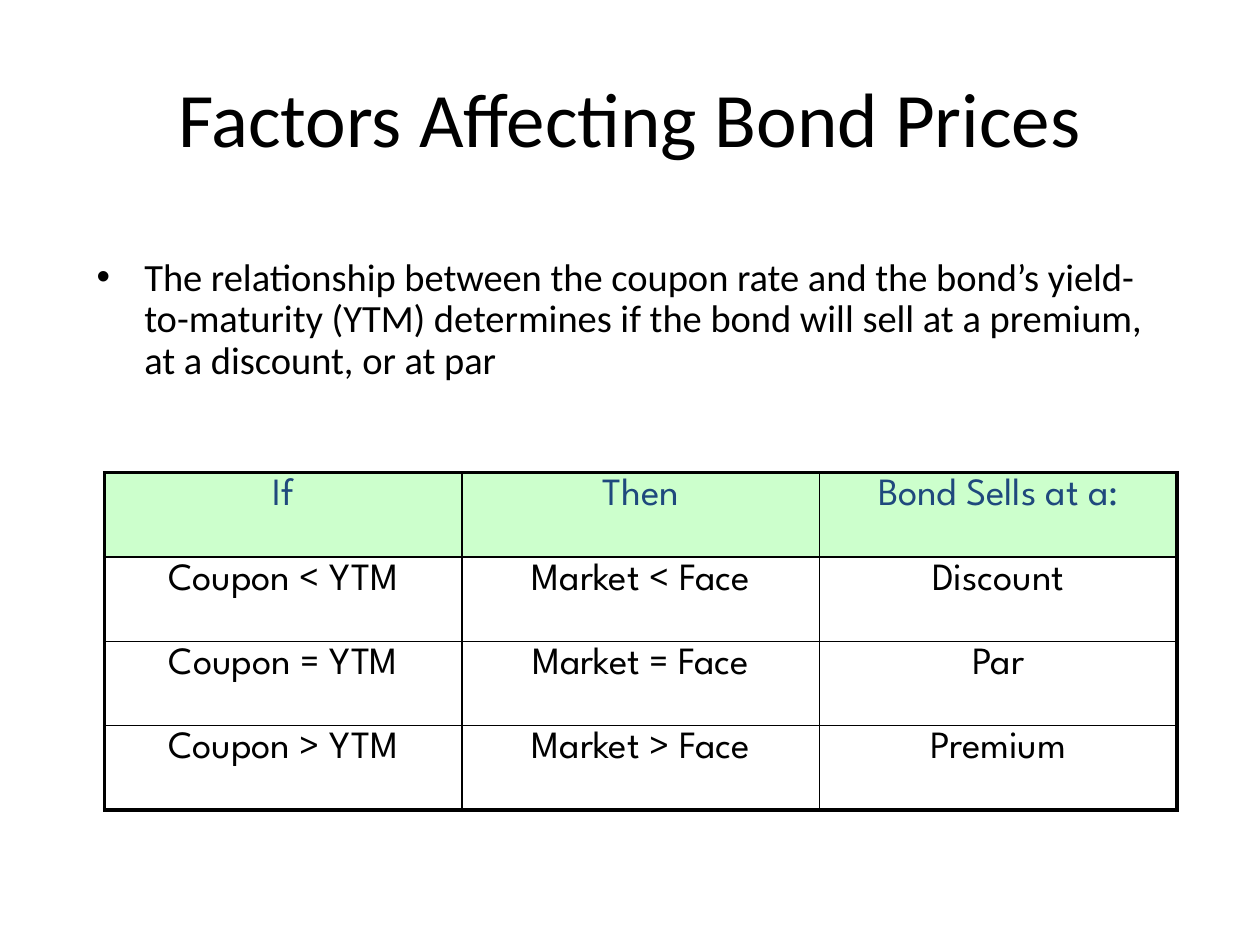
from lxml import etree
from pptx import Presentation
from pptx.dml.color import RGBColor
from pptx.enum.text import MSO_ANCHOR, PP_ALIGN
from pptx.oxml.ns import qn
from pptx.util import Cm, Pt

CENTER = PP_ALIGN.CENTER
MIDDLE = MSO_ANCHOR.MIDDLE

# Content
TITLE = "Factors Affecting Bond Prices"
POINT = ("The relationship between the coupon rate and the bond’s "
         "yield-to-maturity (YTM) determines if the bond will sell at a "
         "premium, at a discount, or at par")
ROWS = [
    ("If", "Then", "Bond Sells at a:"),
    ("Coupon < YTM", "Market < Face", "Discount"),
    ("Coupon = YTM", "Market = Face", "Par"),
    ("Coupon > YTM", "Market > Face", "Premium"),
]
BLACK, NAVY, MINT, WHITE = "000000", "1F497D", "CCFFCC", "FFFFFF"
THICK, THIN = 2.25, 1


def color(code):
    return RGBColor.from_string(code)


def style(para, font, size, code):
    for run in para.runs:
        run.font.name = font
        run.font.size = Pt(size)
        run.font.color.rgb = color(code)


def space(para, percent):
    """Space before the paragraph, as a share of the line."""
    para.space_before = Pt(0)
    gap = para._p.pPr.find(qn("a:spcBef"))
    gap.clear()
    etree.SubElement(gap, qn("a:spcPct"), val=str(percent * 1000))


def text_box(slide, left, top, width, height, text):
    box = slide.shapes.add_textbox(Cm(left), Cm(top), Cm(width), Cm(height))
    frame = box.text_frame
    frame.word_wrap = True
    frame.text = text
    return frame, frame.paragraphs[0]


def border(cell, widths):
    """Widths run left, right, top, bottom; lines come before the fill."""
    props = cell._tc.get_or_add_tcPr()
    for i, (side, width) in enumerate(zip("LRTB", widths)):
        line = etree.Element(qn("a:ln" + side), w=str(Pt(width)))
        fill = etree.SubElement(line, qn("a:solidFill"))
        etree.SubElement(fill, qn("a:srgbClr"), val=BLACK)
        props.insert(i, line)


deck = Presentation()
deck.slide_width, deck.slide_height = Cm(25.4), Cm(19.05)
slide = deck.slides.add_slide(deck.slide_layouts[6])

# Bullet point
frame, para = text_box(slide, 1.7, 5.08, 22, 3.05, POINT)
style(para, "Calibri", 22, BLACK)
para.line_spacing = 0.9
space(para, 20)
props = para._p.pPr
props.set("marL", str(Cm(0.96)))
props.set("indent", str(Cm(-0.96)))
etree.SubElement(props, qn("a:buFont"), typeface="Arial")
etree.SubElement(props, qn("a:buChar"), char="•")

# Table of bond cases
count, span = len(ROWS), len(ROWS[0])
table = slide.shapes.add_table(
    count, span, Cm(2.11), Cm(9.53), Cm(21.62), Cm(6.8)).table
for r, row in enumerate(ROWS):
    for c, text in enumerate(row):
        cell = table.cell(r, c)
        cell.text = text
        para = cell.text_frame.paragraphs[0]
        para.alignment = CENTER
        space(para, 20)
        style(para, "League Spartan", 22, BLACK if r else NAVY)
        cell.fill.solid()
        cell.fill.fore_color.rgb = color(WHITE if r else MINT)
        outer = (c == 0, c == span - 1, r == 0, r == count - 1)
        border(cell, [THICK if edge else THIN for edge in outer])

# Title
frame, para = text_box(slide, 1.27, 0.76, 22.86, 3.18, TITLE)
frame.vertical_anchor = MIDDLE
para.alignment = CENTER
style(para, "Calibri", 44, BLACK)

deck.save("out.pptx")
